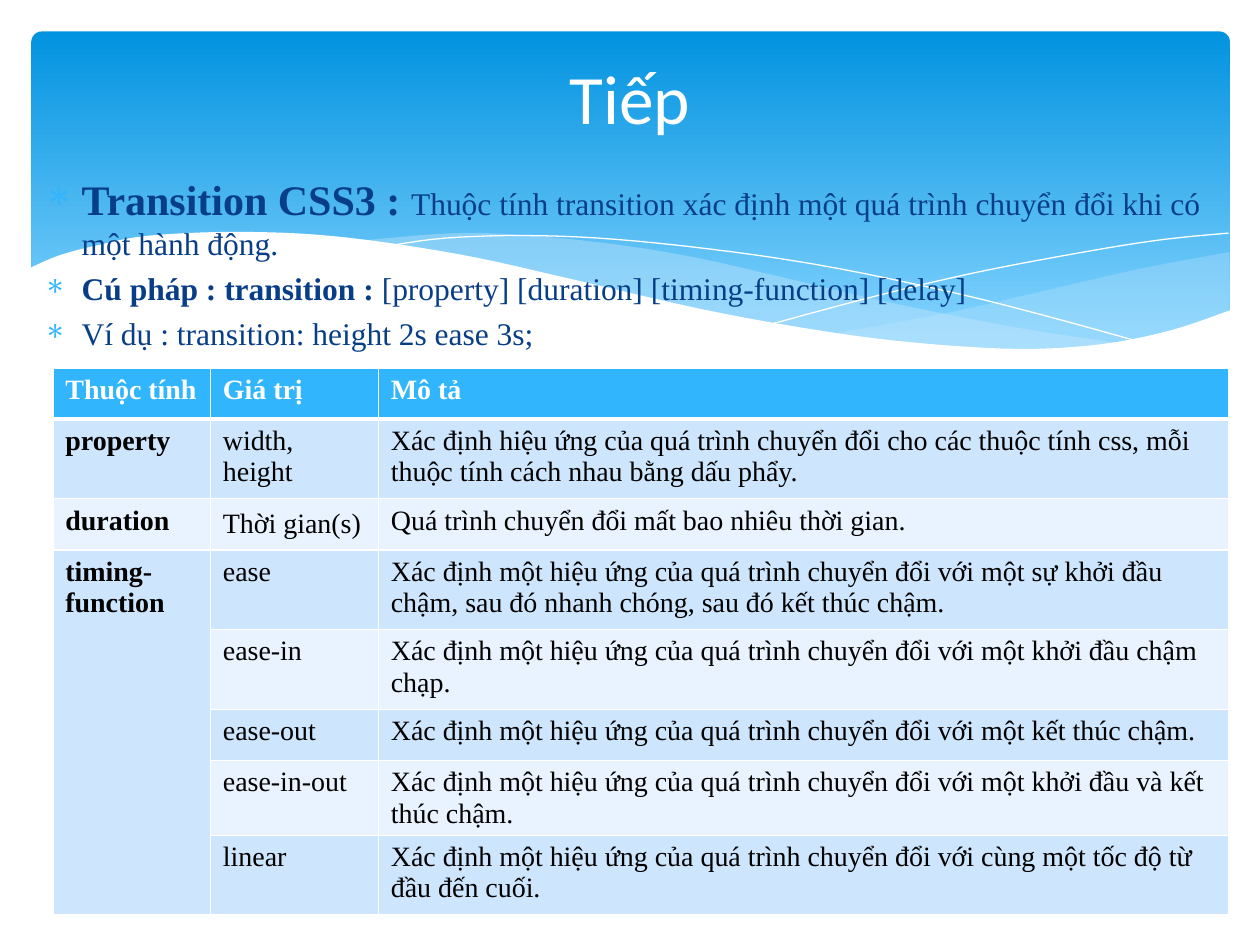
from lxml import etree
from pptx import Presentation
from pptx.dml.color import RGBColor
from pptx.enum.shapes import MSO_SHAPE
from pptx.enum.text import MSO_ANCHOR, PP_ALIGN
from pptx.oxml.ns import qn
from pptx.util import Pt

ROUNDED = MSO_SHAPE.ROUNDED_RECTANGLE
TOP, MIDDLE = MSO_ANCHOR.TOP, MSO_ANCHOR.MIDDLE
LEFT, CENTER = PP_ALIGN.LEFT, PP_ALIGN.CENTER
SERIF, SANS = "Times New Roman", "Calibri"
WHITE, BLACK, NAVY, SKY = "FFFFFF", "000000", "073E87", "31B6FD"
PALE, PALER, MIST = "CEE5FE", "E8F3FF", "C6E7FC"

RIGHT_WAVE = [
    [(684.7, 126), (634.3, 135.4), (581, 147.6), (524.2, 160.6), (457.9, 172.8)],
    [(457.9, 172.8), (489.6, 177.1), (527, 180.7), (568.1, 182.2), (603.4, 180),
     (639.4, 174.2), (684.7, 159.8)],
]
MIDDLE_WAVE = [
    [(625, 178.6), (563, 169.2), (490.3, 154.8), (434.9, 141.8), (381.6, 129.6),
     (334.1, 121.7), (284.4, 116.6), (241.9, 115.2), (187.9, 119.5)],
    [(187.9, 119.5), (242.6, 128.2), (305.3, 141.8), (389.5, 160.6), (450, 172.1),
     (501.8, 179.3), (555.1, 182.2), (599, 181.4), (625, 178.6)],
]
FALLING_LINE = [
    [(204.5, 122.4), (236.2, 118.1), (281.5, 116.6), (334.1, 118.8), (401, 126),
     (460.8, 135.4), (529.2, 149.8), (580.3, 162.7), (635, 177.8)],
]
RISING_LINE = [
    [(423.4, 167), (482.4, 151.2), (540.7, 137.5), (605.5, 125.3), (647.3, 118.8),
     (684, 115.2)],
]
WHITE_WAVE = [
    [(-1.4, 135.4), (15.1, 128.2), (36.7, 122.4), (67.7, 116.6), (121, 114.5),
     (177.1, 117.4), (244.8, 127.4), (303.8, 140.4), (381.6, 158.4), (448.6, 170.6),
     (504.7, 177.8), (564.5, 181.4), (612, 178.6), (651.6, 170.6), (685.4, 159.1)],
    [(685.4, 218.9), (-1.4, 218.9)],
]

BODY = [
    [("Transition CSS3 : ", 24, True),
     ("Thuộc tính transition xác định một quá trình chuyển đổi khi có một hành động.", 18, False)],
    [("Cú pháp : transition : ", 18, True),
     ("[property] [duration] [timing-function] [delay]", 18, False)],
    [("Ví dụ : transition: height 2s ease 3s;", 18, False)],
]
EFFECT = "Xác định một hiệu ứng của quá trình chuyển đổi với "
ROWS = [
    ("Thuộc tính", "Giá trị", "Mô tả"),
    ("property", "width,\nheight",
     "Xác định hiệu ứng của quá trình chuyển đổi cho các thuộc tính css, "
     "mỗi thuộc tính cách nhau bằng dấu phẩy."),
    ("duration", "Thời gian(s)", "Quá trình chuyển đổi mất bao nhiêu thời gian."),
    ("timing-function", "ease",
     EFFECT + "một sự khởi đầu chậm, sau đó nhanh chóng, sau đó kết thúc chậm."),
    ("", "ease-in", EFFECT + "một khởi đầu chậm chạp."),
    ("", "ease-out", EFFECT + "một kết thúc chậm."),
    ("", "ease-in-out", EFFECT + "một khởi đầu và kết thúc chậm."),
    ("", "linear", EFFECT + "cùng một tốc độ từ đầu đến cuối."),
]
MIDDLE_CELLS = {(2, 1), (6, 2)}


def color(value):
    """Return the colour for a hex string."""
    return RGBColor.from_string(value)


def style_font(font, value, **formats):
    """Set a font's colour and every given attribute."""
    font.color.rgb = color(value)
    for name, setting in formats.items():
        setattr(font, name, setting)


def smooth(knots, steps=5):
    """Return points on a Catmull-Rom curve through the knots."""
    padded = [knots[0], *knots, knots[-1]]
    points = [knots[0]]
    for a, b, c, d in zip(padded, padded[1:], padded[2:], padded[3:]):
        for step in range(1, steps + 1):
            t = step / steps
            points.append(tuple(
                (2 * q + (r - p) * t + (2 * p - 5 * q + 4 * r - s) * t ** 2
                 + (3 * q - p - 3 * r + s) * t ** 3) / 2
                for p, q, r, s in zip(a, b, c, d)))
    return points


def add_wave(page, left, top, edges, fill=None, opacity=100):
    """Draw a filled wave, or a white hairline when no fill is given."""
    points = [(Pt(left + x), Pt(top + y)) for edge in edges for x, y in smooth(edge)]
    builder = page.shapes.build_freeform(*points[0], scale=1.0)
    builder.add_line_segments(points[1:], close=fill is not None)
    wave = builder.convert_to_shape()
    wave.shadow.inherit = False
    if fill is None:
        wave.fill.background()
        wave.line.color.rgb = color(WHITE)
        wave.line.width = Pt(0)
        return
    wave.line.fill.background()
    wave.fill.solid()
    wave.fill.fore_color.rgb = color(fill)
    if opacity < 100:
        tint = wave.fill._xPr.find(".//" + qn("a:srgbClr"))
        etree.SubElement(tint, qn("a:alpha"), val=str(opacity * 1000))


def add_banner(page, left, top, width, height):
    """Draw the gradient panel with its waves."""
    panel = page.shapes.add_shape(ROUNDED, Pt(left), Pt(top), Pt(width), Pt(height))
    panel.shadow.inherit = False
    panel.adjustments[0] = 0.03
    panel.line.fill.background()
    panel.fill.gradient()
    panel.fill.gradient_angle = 270
    for stop, (position, value) in zip(panel.fill.gradient_stops, [(0, "0293E0"), (0.9, "83D3FE")]):
        stop.position = position
        stop.color.rgb = color(value)
    add_wave(page, left, top, RIGHT_WAVE, MIST, 29)
    add_wave(page, left, top, MIDDLE_WAVE, MIST, 40)
    add_wave(page, left, top, FALLING_LINE)
    add_wave(page, left, top, RISING_LINE)
    add_wave(page, left, top, WHITE_WAVE, WHITE)


def add_text(page, left, top, width, height, paragraphs, value, face, anchor=TOP, align=LEFT):
    """Add a wrapped text box and return its frame."""
    frame = page.shapes.add_textbox(Pt(left), Pt(top), Pt(width), Pt(height)).text_frame
    frame.word_wrap = True
    frame.vertical_anchor = anchor
    for index, spans in enumerate(paragraphs):
        para = frame.add_paragraph() if index else frame.paragraphs[0]
        para.alignment = align
        for text, size, bold in spans:
            span = para.add_run()
            span.text = text
            style_font(span.font, value, name=face, size=Pt(size), bold=bold)
    return frame


def add_bullets(frame, indent=21.6):
    """Give each paragraph a hanging sky-blue asterisk."""
    for para in frame.paragraphs:
        para.space_before = Pt(4)
        properties = para._p.get_or_add_pPr()
        properties.set("marL", str(Pt(indent)))
        properties.set("indent", str(-Pt(indent)))
        tint = etree.SubElement(properties, qn("a:buClr"))
        etree.SubElement(tint, qn("a:srgbClr"), val=SKY)
        etree.SubElement(properties, qn("a:buChar"), char="∗")


def add_borders(cell, bottom):
    """Draw white borders around a cell."""
    properties = cell._tc.get_or_add_tcPr()
    for side, width in {"L": 1, "R": 1, "T": 1, "B": bottom}.items():
        border = etree.SubElement(properties, qn("a:ln" + side), w=str(Pt(width)))
        fill = etree.SubElement(border, qn("a:solidFill"))
        etree.SubElement(fill, qn("a:srgbClr"), val=WHITE)


def add_property_table(page, left, top, widths, row_height):
    """Add the table of transition properties."""
    table = page.shapes.add_table(len(ROWS), len(widths), Pt(left), Pt(top),
                                  Pt(sum(widths)), Pt(row_height * len(ROWS))).table
    for column, width in zip(table.columns, widths):
        column.width = Pt(width)
    for r, texts in enumerate(ROWS):
        for c, text in enumerate(texts):
            cell = table.cell(r, c)
            header = r == 0
            add_borders(cell, 3 if header else 1)
            cell.fill.solid()
            cell.fill.fore_color.rgb = color(SKY if header else PALE if r % 2 or c == 0 and r > 3 else PALER)
            if (r, c) in MIDDLE_CELLS:
                cell.vertical_anchor = MIDDLE
                cell.margin_top = cell.margin_bottom = Pt(2.2)
            cell.text = text
            for para in cell.text_frame.paragraphs:
                for font in [para.font, *(span.font for span in para.runs)]:
                    style_font(font, WHITE if header else BLACK, name=SERIF,
                               size=Pt(16), bold=header or c == 0)
    table.cell(3, 0).merge(table.cell(len(ROWS) - 1, 0))


def main():
    """Build and save the deck."""
    deck = Presentation()
    deck.slide_width, deck.slide_height = Pt(720), Pt(540)
    page = deck.slides.add_slide(deck.slide_layouts[6])
    add_banner(page, 18, 18, 684.7, 194.4)
    add_bullets(add_text(page, 18, 95.8, 684, 386.6, BODY, NAVY, SERIF))
    add_text(page, 36, 26.6, 648, 57.6, [[("Tiếp", 39.6, False)]], WHITE, SANS, MIDDLE, CENTER)
    add_property_table(page, 30.2, 210.2, [90, 96, 486], 29.2)
    deck.save("out.pptx")


if __name__ == "__main__":
    main()
